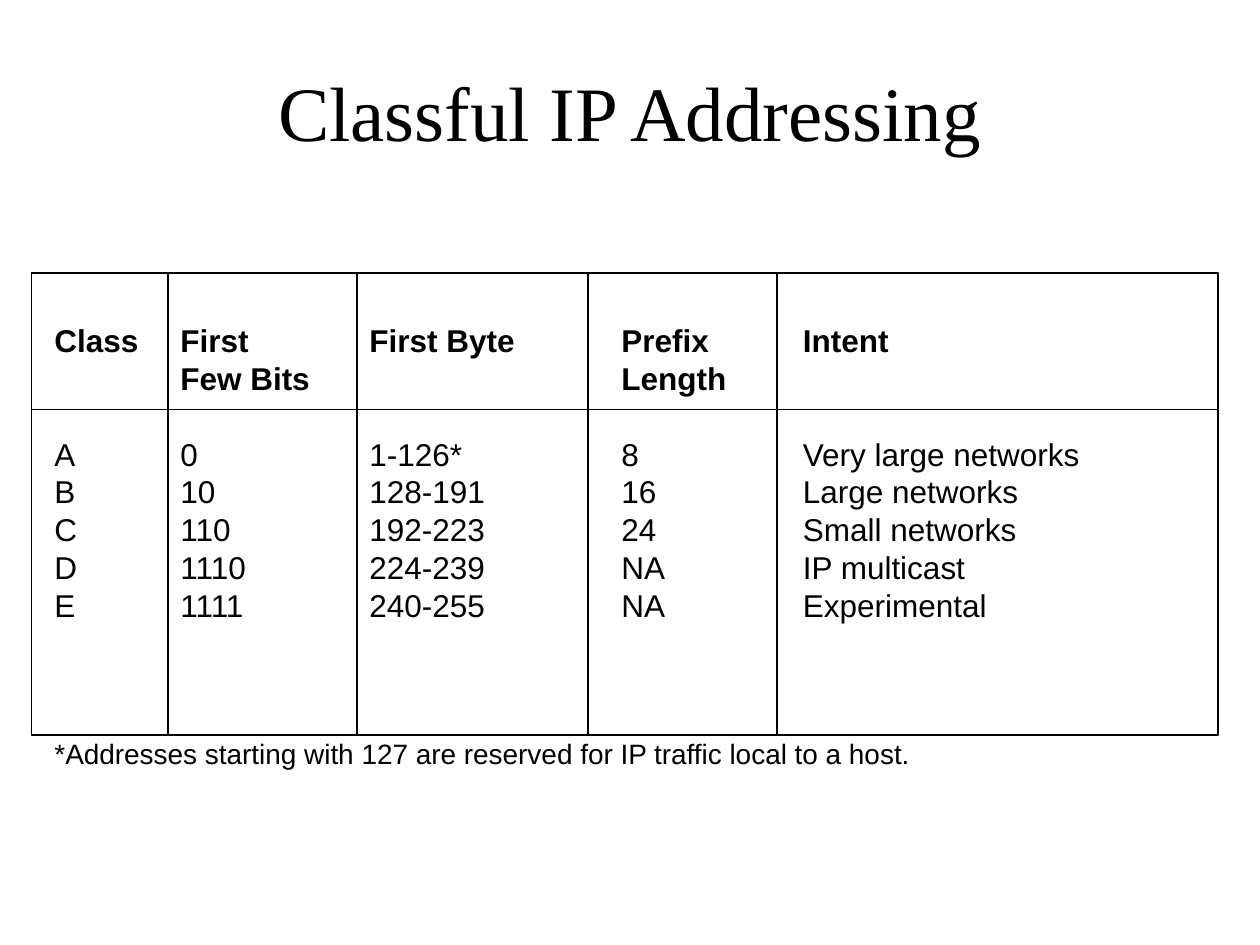
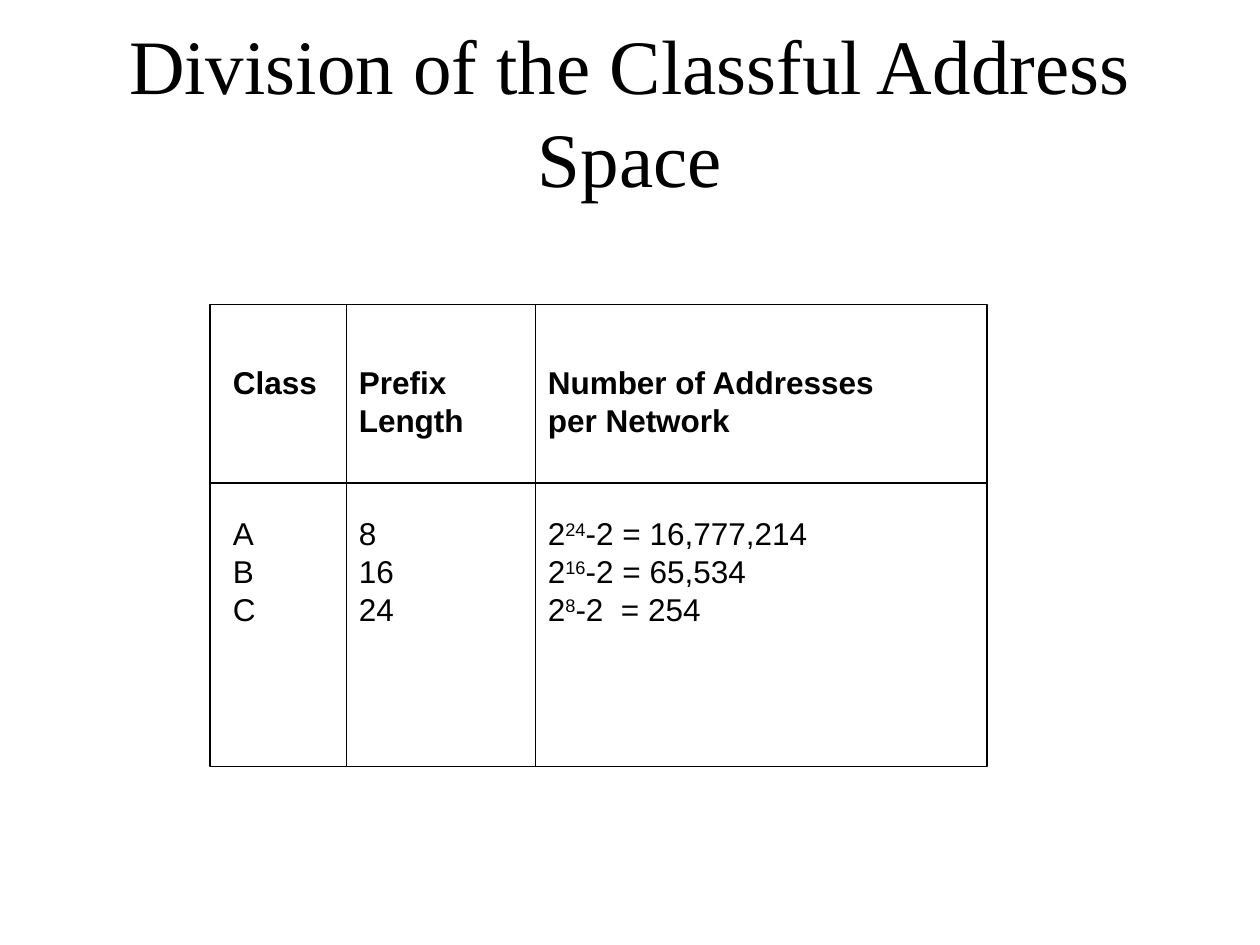
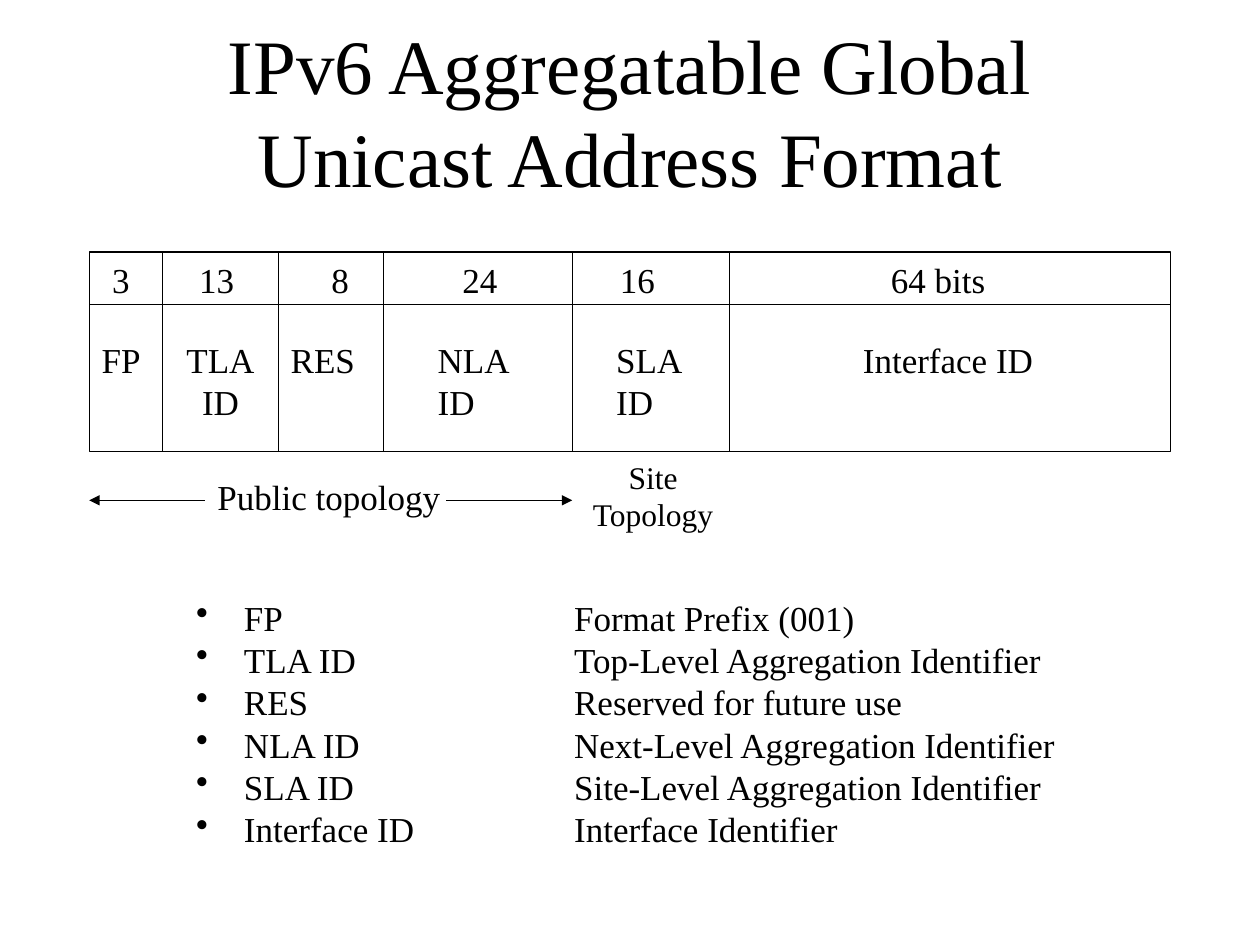
"""Build three slides on classful IP addressing and the IPv6 unicast address format."""
from dataclasses import dataclass

from lxml.etree import SubElement
from pptx import Presentation
from pptx.dml.color import RGBColor
from pptx.enum.shapes import MSO_CONNECTOR as Connector, MSO_SHAPE as Shape
from pptx.enum.text import MSO_ANCHOR as Anchor, PP_ALIGN as Align
from pptx.oxml.ns import qn
from pptx.util import Inches, Pt


@dataclass(frozen=True)
class Theme:
    ink: RGBColor = RGBColor(0, 0, 0)
    paper: RGBColor = RGBColor(255, 255, 255)
    serif: str = "Times New Roman"
    sans: str = "Arial"
    title: int = 44
    label: int = 20
    table: int = 18
    note: int = 16
    rule: float = 0.75
    leading: float = 1.2
    tight: float = 0.96


@dataclass(frozen=True)
class Line:
    text: str
    size: int
    bold: bool = False
    before: float = 0


theme = Theme()
presentation = Presentation()
presentation.slide_width = Inches(10)
presentation.slide_height = Inches(7.5)
COLUMN = presentation.slide_width / 240
ROW = presentation.slide_height / 180
TABLE_LINE = theme.table * theme.leading


def add_text(slide, box, lines, font, tabs=(), align=Align.LEFT, anchor=Anchor.TOP,
             wrap=True, bullet=False):
    left, top, width, height = box
    shape = slide.shapes.add_textbox(round(left * COLUMN), round(top * ROW),
                                     round(width * COLUMN), round(height * ROW))
    frame = shape.text_frame
    frame.word_wrap = wrap
    frame.vertical_anchor = anchor
    for index, line in enumerate(lines):
        paragraph = frame.paragraphs[0] if index == 0 else frame.add_paragraph()
        paragraph.alignment = align
        paragraph.line_spacing = Pt(line.size * (theme.tight if bullet else theme.leading))
        paragraph.space_before = Pt(line.before)
        properties = paragraph._p.get_or_add_pPr()
        if bullet:
            properties.set("marL", str(Inches(0.38)))
            properties.set("indent", str(Inches(-0.38)))
            SubElement(properties, qn("a:buChar"), char="•")
        if tabs:
            tab_list = SubElement(properties, qn("a:tabLst"))
            for tab in tabs:
                SubElement(tab_list, qn("a:tab"), pos=str(Inches(tab)), algn="l")
        for part, text in enumerate(line.text.split("^")):
            run = paragraph.add_run()
            run.text = text
            run.font.name = font
            run.font.size = Pt(line.size)
            run.font.bold = line.bold
            run.font.color.rgb = theme.ink
            if part % 2:
                run._r.get_or_add_rPr().set("baseline", "30000")


def add_line(slide, start, end, arrow=False):
    connector = slide.shapes.add_connector(
        Connector.STRAIGHT, round(start[0] * COLUMN), round(start[1] * ROW),
        round(end[0] * COLUMN), round(end[1] * ROW))
    connector.line.color.rgb = theme.ink
    connector.line.width = Pt(theme.rule)
    if arrow:
        SubElement(connector.line._get_or_add_ln(), qn("a:tailEnd"), type="triangle")
    SubElement(connector._element.spPr, qn("a:effectLst"))


frames = [
    ("Classful IP Addressing", (6, 52, 226, 88), 78, (32, 68, 112, 148)),
    ("Division of the Classful Address Space", (40, 58, 148, 88), 92, (66, 102)),
    ("IPv6 Aggregatable Global Unicast Address Format", (17, 48, 206, 38), 58,
     (31, 53, 73, 109, 139)),
]
slides = []
for title, (left, top, width, height), header_bottom, dividers in frames:
    slide = presentation.slides.add_slide(presentation.slide_layouts[6])
    slide.background.fill.solid()
    slide.background.fill.fore_color.rgb = theme.paper
    add_text(slide, (18, 6, 204, 30), [Line(title, theme.title)], theme.serif,
             align=Align.CENTER, anchor=Anchor.MIDDLE)
    outline = slide.shapes.add_shape(Shape.RECTANGLE, round(left * COLUMN), round(top * ROW),
                                     round(width * COLUMN), round(height * ROW))
    outline.shadow.inherit = False
    outline.fill.background()
    outline.line.color.rgb = theme.ink
    outline.line.width = Pt(theme.rule)
    add_line(slide, (left, header_bottom), (left + width, header_bottom))
    for divider in dividers:
        add_line(slide, (divider, top), (divider, top + height))
    slides.append(slide)
class_slide, division_slide, format_slide = slides

class_lines = [
    Line("Class\tFirst \tFirst Byte\tPrefix\tIntent", theme.table, bold=True),
    Line("\tFew Bits\t\tLength", theme.table, bold=True),
    Line("A\t0\t1-126*\t8\tVery large networks", theme.table, before=TABLE_LINE),
    Line("B\t10\t128-191\t16\tLarge networks", theme.table),
    Line("C\t110\t192-223\t24\tSmall networks", theme.table),
    Line("D\t1110\t224-239\tNA\tIP multicast", theme.table),
    Line("E\t1111\t240-255\tNA\tExperimental", theme.table),
    Line("*Addresses starting with 127 are reserved for IP traffic local to a host.",
         theme.note, before=3 * TABLE_LINE),
]
add_text(class_slide, (8, 60, 232, 88), class_lines, theme.sans, tabs=(1, 2.5, 4.5, 5.94))

division_lines = [
    Line("Class\tPrefix\tNumber of Addresses", theme.table, bold=True),
    Line("\tLength\tper Network", theme.table, bold=True),
    Line("A\t8\t2^24^-2 = 16,777,214", theme.table, before=2 * TABLE_LINE),
    Line("B\t16\t2^16^-2 = 65,534", theme.table),
    Line("C\t24\t2^8^-2  = 254", theme.table),
]
add_text(division_slide, (42, 68, 144, 53), division_lines, theme.sans, tabs=(1, 2.5))

definitions = [
    ("FP", "Format Prefix (001)"),
    ("TLA ID", "Top-Level Aggregation Identifier"),
    ("RES", "Reserved for future use"),
    ("NLA ID", "Next-Level Aggregation Identifier"),
    ("SLA ID", "Site-Level Aggregation Identifier"),
    ("Interface ID", "Interface Identifier"),
]
add_text(format_slide, (35, 114, 170, 52),
         [Line(f"{field}\t{meaning}", theme.label, before=5 if index else 0)
          for index, (field, meaning) in enumerate(definitions)],
         theme.serif, tabs=(3,), bullet=True)
add_text(format_slide, (19, 48, 194, 10.5), [Line("3\t13\t8\t24\t16\t64 bits", theme.label)],
         theme.serif, tabs=(0.69, 1.74, 2.78, 4.03, 6.18))

labels = [
    (17, 63.2, 13, ["FP"], theme.label, Align.LEFT),
    (32.5, 63.2, 19, ["TLA", "ID"], theme.label, Align.CENTER),
    (53, 63.2, 18, ["RES"], theme.label, Align.LEFT),
    (81, 63.2, 20, ["NLA", "ID"], theme.label, Align.LEFT),
    (115, 63.2, 20, ["SLA", "ID"], theme.label, Align.LEFT),
    (162, 63.2, 39, ["Interface ID"], theme.label, Align.LEFT),
    (38.5, 89.3, 48.3, ["Public topology"], theme.label, Align.CENTER),
    (109.4, 86, 30, ["Site", "Topology"], theme.table, Align.CENTER),
]
for left, top, width, words, size, align in labels:
    height = 2.4 + len(words) * size * theme.leading / 3
    add_text(format_slide, (left, top, width, height), [Line(word, size) for word in words],
             theme.serif, align=align)

for start, end in ((85, 109), (39, 17)):
    add_line(format_slide, (start, 95.3), (end, 95.3), arrow=True)

presentation.save("out.pptx")
